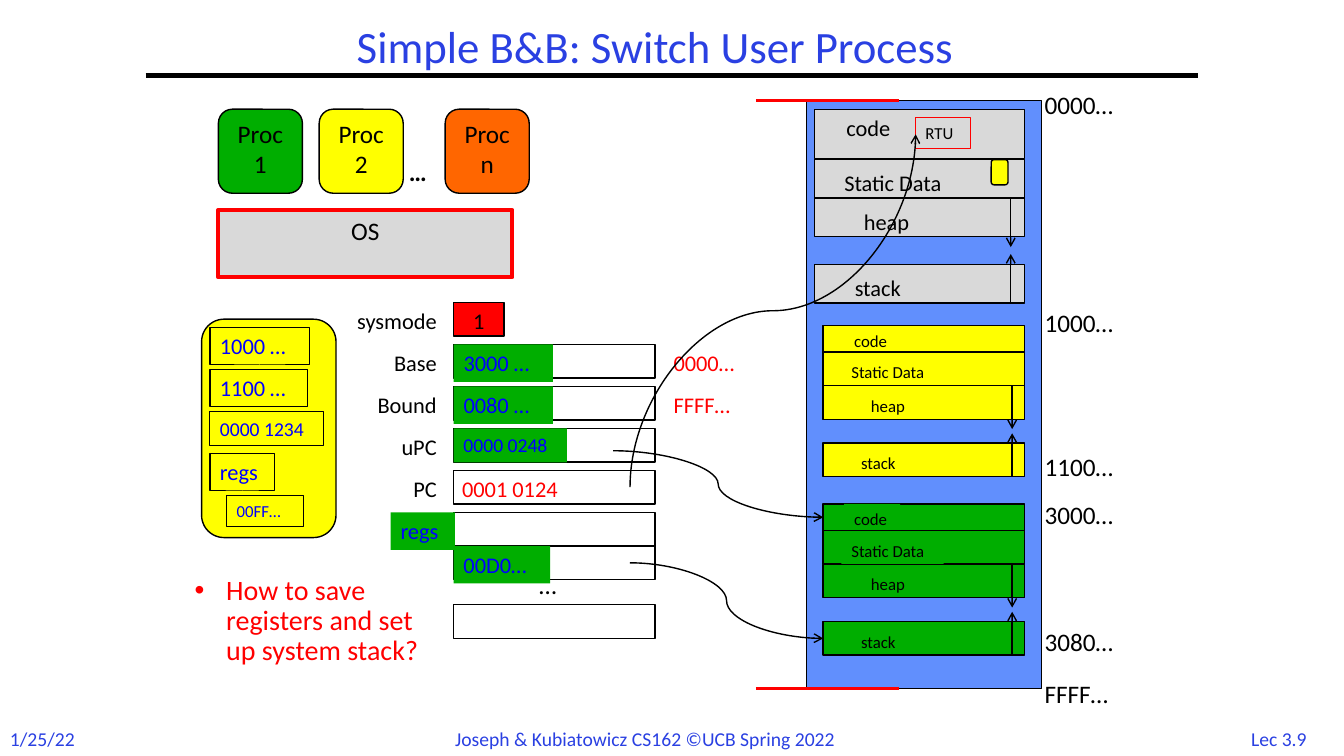
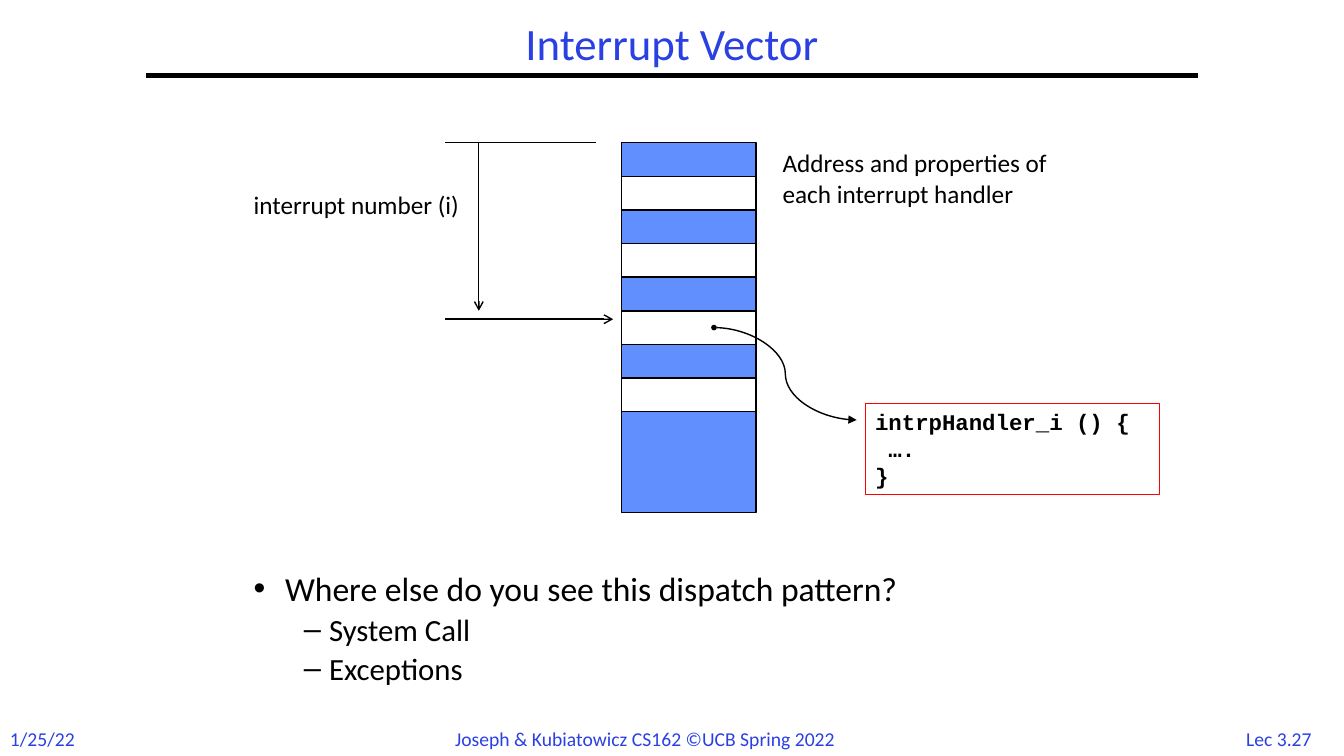
from lxml import etree
from pptx import Presentation
from pptx.dml.color import RGBColor
from pptx.enum import shapes, text
from pptx.oxml.ns import qn
from pptx.util import Pt

HUE = {"black": "000000", "white": "FFFFFF", "title": "2A40E2", "red": "FF0000",
       "green": "00AE00", "yellow": "FFFF00", "orange": "FF6600",
       "gray": "D9D9D9", "sky": "618FFD", "ink": "0000FF"}
SIDE = {"l": text.PP_ALIGN.LEFT, "c": text.PP_ALIGN.CENTER, "r": text.PP_ALIGN.RIGHT}
RECT = shapes.MSO_SHAPE.RECTANGLE
ROUND = shapes.MSO_SHAPE.ROUNDED_RECTANGLE
WIDE = (("code", 0, 35.3, 15.5, 50), ("Static Data", 36, 27.5, 14, 94),
        ("heap", 63.5, 27.5, 28, 50), ("stack", 111, 27.5, 21.5, 53))
SLIM = (("code", 0, 19, 15, 40), ("Static Data", 19, 24, 13, 73),
        ("heap", 43, 24, 27, 41), ("stack", 84, 24, 20, 42))


def rgb(name):
    """Return the named colour."""
    return RGBColor.from_string(HUE[name])


def write(frame, words, size=18, color="black", font="Calibri", bold=False,
          align="l", space=None, wrap=True):
    """Fill a text frame, one paragraph for each line of words."""
    frame.word_wrap = wrap
    frame.text = words
    for para in frame.paragraphs:
        para.alignment = SIDE[align]
        para.line_spacing = space
        for run in para.runs:
            face = run.font
            face.size, face.name, face.bold = Pt(size), font, bold
            face.color.rgb = rgb(color)


def paint(item, fill, line, weight):
    """Set the fill and outline of a shape."""
    if fill:
        item.fill.solid()
        item.fill.fore_color.rgb = rgb(fill)
    else:
        item.fill.background()
    if line:
        item.line.color.rgb = rgb(line)
        item.line.width = Pt(weight)
    else:
        item.line.fill.background()


def shape(slide, box, fill=None, line="black", weight=1, kind=RECT, words="", **fmt):
    """Add a preset shape, with text at its top if any."""
    item = slide.shapes.add_shape(kind, *map(Pt, box))
    item.shadow.inherit = False
    paint(item, fill, line, weight)
    if words:
        write(item.text_frame, words, **fmt)
        item.text_frame.vertical_anchor = text.MSO_ANCHOR.TOP
    return item


def label(slide, words, box, fill=None, line=None, weight=0.75, wrap=False, **fmt):
    """Add a text box that fits its text."""
    item = slide.shapes.add_textbox(*map(Pt, box))
    paint(item, fill, line, weight)
    write(item.text_frame, words, wrap=wrap, **fmt)
    item.text_frame.auto_size = text.MSO_AUTO_SIZE.SHAPE_TO_FIT_TEXT
    return item


def link(slide, start, end, color="black", weight=1, head=None, tail=None,
         curve=False, turn=0, goal=None):
    """Add a line or curve, with arrowheads and a joined end if asked."""
    kind = shapes.MSO_CONNECTOR.CURVE if curve else shapes.MSO_CONNECTOR.STRAIGHT
    item = slide.shapes.add_connector(kind, *map(Pt, start + end))
    item.line.color.rgb = rgb(color)
    item.line.width = Pt(weight)
    prop = item._element.spPr
    edge = prop.find(qn("a:ln"))
    for tag, tip in (("a:headEnd", head), ("a:tailEnd", tail)):
        if tip:
            mark = etree.SubElement(edge, qn(tag))
            mark.set("type", tip)
            if tip == "oval":
                mark.set("w", "sm")
                mark.set("len", "sm")
    etree.SubElement(prop, qn("a:effectLst"))
    if turn:
        prop.find(qn("a:xfrm")).set("rot", str(turn * 60000))
    if goal is not None:
        item.end_connect(goal, 1)
    return item


def bullet(para, mark, left, hang, gap=0):
    """Give a paragraph a bullet, a hanging indent and a gap above."""
    para.space_before = Pt(gap)
    prop = para._p.get_or_add_pPr()
    prop.set("marL", str(Pt(left)))
    prop.set("indent", str(-Pt(hang)))
    etree.SubElement(prop, qn("a:buFont")).set("typeface", "Arial")
    etree.SubElement(prop, qn("a:buChar")).set("char", mark)


def base(deck, title, box, page):
    """Start a slide with the title, the rule and the footers."""
    slide = deck.slides.add_slide(deck.slide_layouts[5])
    head = slide.shapes.title
    head.left, head.top, head.width, head.height = map(Pt, box)
    write(head.text_frame, title, size=32, color="title", align="c", space=0.9)
    head.text_frame.auto_size = text.MSO_AUTO_SIZE.NONE
    head.text_frame.vertical_anchor = text.MSO_ANCHOR.MIDDLE
    link(slide, (104, 54), (856, 54), weight=3)
    foot = (("1/25/22", 0, 61, "l"), (page, 878.5, 70, "c"),
            ("Joseph & Kubiatowicz CS162 ©UCB Spring 2022", 318, 324, "l"))
    for words, x, w, side in foot:
        label(slide, words, (x, 515.5, w, 24.5), size=14, color="title", align=side)
    return slide


def memory(slide, box, rows, fill, size, rise, inset, solid=()):
    """Draw the segments of one process and return their rectangles."""
    x, y, w = box
    bars = []
    for name, top, high, dx, wide in rows:
        bars.append(shape(slide, (x, y + top, w, high), fill))
        drop = 3.5 if top else 0
        label(slide, name, (x + dx, y + top + drop, wide, size * 1.22 + 7.2),
              fill=fill if name in solid else None, size=size)
    lane = x + w - inset
    heap = y + rows[2][1]
    floor = y + rows[3][1] + rows[3][2]
    link(slide, (lane, floor), (lane, floor - rise), tail="arrow")
    link(slide, (lane, heap), (lane, heap + rise), tail="arrow")
    return bars


def procs(slide, x, y):
    """Draw the processes above the operating system."""
    shape(slide, (x, y + 72, 210, 48), "gray", "red", 3, words="OS", align="c")
    for dx, name, fill in ((0, "1", "green"), (72, "2", "yellow"), (162, "n", "orange")):
        shape(slide, (x + dx, y, 60, 60), fill, kind=ROUND, words="Proc " + name, align="c")
    label(slide, "…", (x + 129, y + 30, 32, 29), bold=True)


def saved(slide, x, y):
    """Draw the saved state of the second process."""
    shape(slide, (x, y, 96, 156), "yellow", kind=ROUND)
    items = (("1000 …", 6, 71, 16), ("1100 …", 6, 70, 16), ("0000 1234", 6, 81, 14),
             ("regs", 6, 46, 16), ("00FF…", 18, 55, 12))
    for i, (words, dx, w, size) in enumerate(items):
        label(slide, words, (x + dx, y + 6 + 30 * i, w, size * 1.22 + 7.2),
              "yellow", "black", size=size, color="ink")


def cpu(slide, x, y):
    """Draw the registers with their names and values."""
    shape(slide, (x, y, 36, 24), "red", words="1", size=16, align="c")
    for dy in (30, 60, 90, 120, 150, 174, 216):
        shape(slide, (x, y + dy, 144, 24))
    for i, name in enumerate(("sysmode", "Base", "Bound", "uPC", "PC")):
        label(slide, name, (x - 95, y + 30 * i, 90, 26.5), size=16, align="r", wrap=True)
    chips = (("3000 …", 0, 30, 71, 16), ("0080 …", 0, 60, 71, 16),
             ("0000 0248", 0, 90, 81, 14), ("regs", -45, 150, 46, 16),
             ("00D0…", 0, 174, 69, 16))
    for words, dx, dy, w, size in chips:
        label(slide, words, (x + dx, y + dy, w, size * 1.22 + 7.2), "green",
              size=size, color="ink")
    label(slide, "…", (x + 54, y + 187, 32, 29))
    notes = (("0001 0124", -1, 120, 110), ("0000…", 150, 30, 70), ("FFFF…", 150, 60, 70))
    for words, dx, dy, w in notes:
        label(slide, words, (x + dx, y + dy, w, 26.5), size=16, color="red", wrap=True)


def store(slide, x, y):
    """Draw main memory and return the segments that registers point at."""
    shape(slide, (x, y, 168, 420), "sky")
    memory(slide, (x + 6, y + 6, 150), WIDE, "gray", 16, 35, 10)
    memory(slide, (x + 12, y + 160.5, 144), SLIM, "yellow", 12, 31, 9, ("Static Data",))
    bars = memory(slide, (x + 12, y + 288, 144), SLIM, "green", 12, 31, 9,
                  ("code", "Static Data"))
    marks = (("0000…", -12), ("1000…", 144), ("1100…", 247), ("3000…", 281),
             ("3080…", 372), ("FFFF…", 409))
    for words, dy in marks:
        label(slide, words, (x + 163, y + dy, 74, 29))
    for dy in (0, 420):
        link(slide, (x - 36, y + dy), (x + 66, y + dy), "red", 2.25)
    label(slide, "RTU", (x + 78, y + 12, 39, 22), line="red", size=12)
    shape(slide, (x + 132, y + 42, 12, 18), "yellow", kind=ROUND)
    return bars[0], bars[3]


def switch(deck):
    """Build the slide on switching processes."""
    slide = base(deck, "Simple B&B: Switch User Process", (156, 6, 624, 58), "Lec 3.9")
    procs(slide, 156, 78)
    saved(slide, 144, 228)
    code, stack = store(slide, 576, 72)
    cpu(slide, 324, 216)
    link(slide, (678, 324), (426, 120), tail="arrow", curve=True, turn=90)
    link(slide, (438, 322), (588, 369.5), tail="arrow", curve=True, goal=code)
    link(slide, (450, 402), (588, 456), tail="arrow", curve=True, goal=stack)
    ask = label(slide, "How to save registers and set up system stack?",
                (132, 408, 180, 84), wrap=True, size=20, color="red", space=0.9)
    bullet(ask.text_frame.paragraphs[0], "•", 22.5, 22.5)


def table(slide, x, y):
    """Draw the vector table with its index lines."""
    shape(slide, (x, y, 96, 264), "sky")
    for i in range(4):
        shape(slide, (x, y + 24 + 48 * i, 96, 24), "white")
    link(slide, (x - 18, y), (x - 126, y))
    link(slide, (x - 102, y), (x - 102, y + 120), tail="arrow")
    link(slide, (x - 126, y + 126), (x - 6, y + 126), tail="arrow")
    label(slide, "interrupt number (i)", (x - 312, y + 30, 203, 29), wrap=True, align="r")
    label(slide, "Address and properties of each interrupt handler",
          (x + 108, y, 216, 51), wrap=True)
    link(slide, (x + 66, y + 132), (x + 168, y + 198), head="oval", tail="triangle", curve=True)
    label(slide, "intrpHandler_i () {\n ….\n}", (x + 174, y + 186, 210, 65.5), line="red",
          wrap=True, size=16, font="Courier New", bold=True)


def vector(deck):
    """Build the slide on the interrupt vector."""
    slide = base(deck, "Interrupt Vector", (104, 12, 752, 42), "Lec 3.27")
    table(slide, 444, 102)
    ask = label(slide, "Where else do you see this dispatch pattern?\nSystem Call\nExceptions",
                (174, 408, 600, 90), wrap=True, size=24, space=0.8)
    first, *rest = ask.text_frame.paragraphs
    bullet(first, "•", 22.5, 22.5)
    for para in rest:
        para.level = 1
        para.runs[0].font.size = Pt(22)
        bullet(para, "–", 54, 18, 6.6)


def main():
    """Build and save the deck."""
    deck = Presentation()
    deck.slide_width, deck.slide_height = Pt(960), Pt(540)
    switch(deck)
    vector(deck)
    deck.save("out.pptx")


if __name__ == "__main__":
    main()
